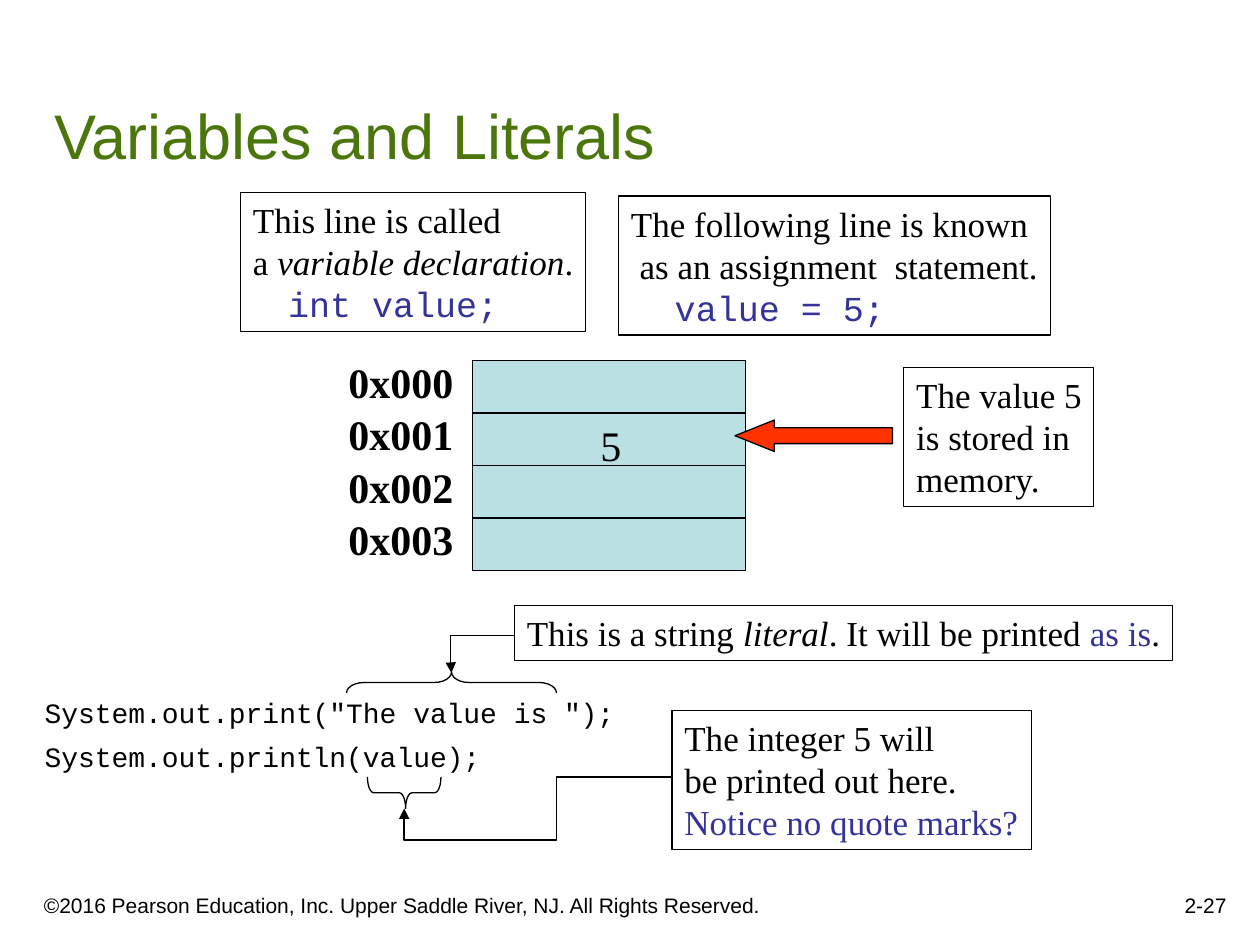
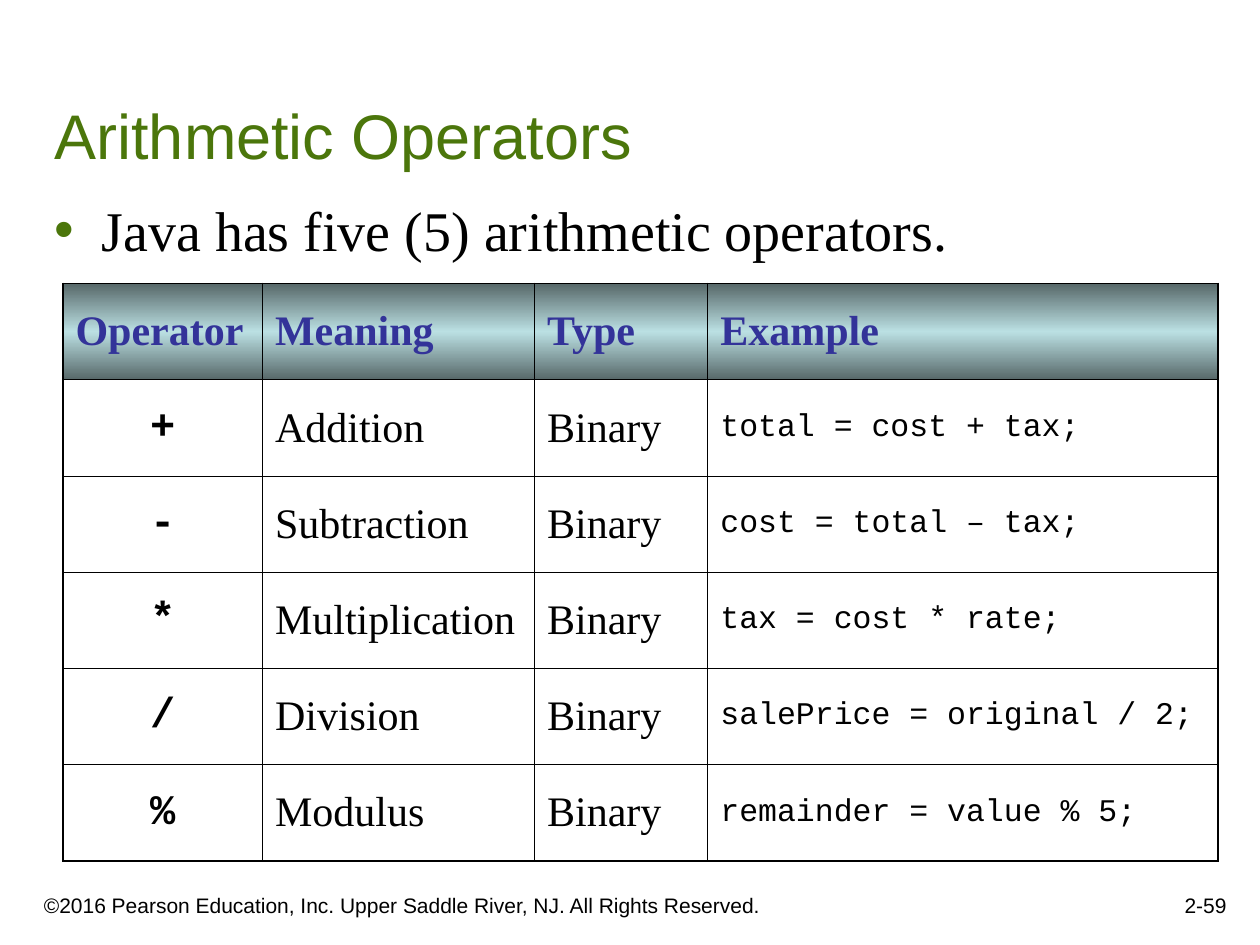
"""Builds two Java lesson slides: variables in memory and arithmetic operators."""
from lxml.etree import SubElement
from pptx import Presentation
from pptx.dml.color import RGBColor
from pptx.enum.shapes import MSO_CONNECTOR, MSO_SHAPE
from pptx.enum.text import MSO_ANCHOR, PP_ALIGN
from pptx.oxml import parse_xml
from pptx.oxml.ns import nsdecls, qn
from pptx.util import Pt

BLACK = RGBColor(0x00, 0x00, 0x00)
GREEN = RGBColor(0x4B, 0x76, 0x0B)
BLUE = RGBColor(0x33, 0x33, 0x99)
AQUA = RGBColor(0xBB, 0xE0, 0xE3)
SLATE = RGBColor(0x57, 0x68, 0x69)
RED = RGBColor(0xFF, 0x33, 0x00)

SERIF = "Times New Roman"
MONO = "Courier New"
HEAD = {"size": Pt(36), "name": "Arial", "color": GREEN}
FOOT = {"size": Pt(12), "name": "Arial", "color": BLACK}
NOTE = {"size": Pt(20), "name": SERIF, "color": BLACK}
CODE = {"size": Pt(16), "name": MONO, "color": BLACK}
BODY = {"size": Pt(32), "name": SERIF, "color": BLACK}
CELL = {"size": Pt(24), "name": SERIF, "color": BLACK}
BOLD = CELL | {"bold": True}
TINT = {"color": BLUE}
SLANT = {"italic": True}


def write(frame, lines, look, **form):
    for num, line in enumerate(lines):
        para = frame.add_paragraph() if num else frame.paragraphs[0]
        for key, val in ({"alignment": PP_ALIGN.LEFT} | form).items():
            if num or key != "space_before":
                setattr(para, key, val)
        for text, extra in [(line, {})] if isinstance(line, str) else line:
            run = para.add_run()
            run.text = text
            for key, val in (look | extra).items():
                if key == "color":
                    run.font.color.rgb = val
                else:
                    setattr(run.font, key, val)


def draw(slide, kind, area, paint=None):
    shape = slide.shapes.add_shape(kind, *[Pt(v) for v in area])
    shape.shadow.inherit = False
    if paint is None:
        shape.fill.background()
    else:
        shape.fill.solid()
        shape.fill.fore_color.rgb = paint
    shape.line.color.rgb = BLACK
    shape.line.width = Pt(0.75)
    shape.text_frame.vertical_anchor = MSO_ANCHOR.TOP
    shape.text_frame.word_wrap = False
    return shape


deck = Presentation()
deck.slide_width, deck.slide_height = Pt(720), Pt(540)

pages = []
for name, page in [("Variables and Literals", "2-27"), ("Arithmetic Operators", "2-59")]:
    slide = deck.slides.add_slide(deck.slide_layouts[5])
    pages.append(slide)
    title = slide.shapes.title
    place = {"left": 24, "top": 24, "width": 678, "height": 78}
    for key, val in place.items():
        setattr(title, key, Pt(val))
    title.text_frame.vertical_anchor = MSO_ANCHOR.BOTTOM
    write(title.text_frame, [name], HEAD)
    rights = "©2016 Pearson Education, Inc. Upper Saddle River, NJ. All Rights Reserved."
    for text, area, side in [
        (rights, (18, 498, 438, 30), PP_ALIGN.LEFT),
        (page, (558, 492, 150, 36), PP_ALIGN.RIGHT),
    ]:
        foot = slide.shapes.add_textbox(*[Pt(v) for v in area]).text_frame
        foot.word_wrap = True
        foot.vertical_anchor = MSO_ANCHOR.BOTTOM
        write(foot, [text], FOOT, alignment=side)

lesson, chart = pages

notes = [
    ((137.5, 110, 197, 79.5), [
        "This line is called",
        [("a ", {}), ("variable declaration", SLANT), (".", {})],
        [("int value;", TINT | {"name": MONO})],
    ], {2: 20}),
    ((353.5, 112, 247, 79.5), [
        "The following line is known",
        "as an assignment  statement.",
        [("value = 5;", TINT | {"name": MONO})],
    ], {1: 5, 2: 25}),
    ((516.5, 210, 108.5, 79.5), ["The value 5", "is stored in", "memory."], {}),
    ((294, 346, 376, 31.5), [[
        ("This is a string ", {}), ("literal", SLANT),
        (". It will be printed ", {}), ("as is", TINT), (".", {}),
    ]], {}),
    ((384, 406, 205.5, 79.5), [
        "The integer 5 will", "be printed out here.",
        [("Notice no quote marks?", TINT)],
    ], {}),
]
for area, lines, dents in notes:
    frame = draw(lesson, MSO_SHAPE.RECTANGLE, area).text_frame
    write(frame, lines, NOTE)
    for num, dent in dents.items():
        frame.paragraphs[num]._p.get_or_add_pPr().set("marL", str(Pt(dent)))

for row in range(4):
    top = 206 + 30 * row
    draw(lesson, MSO_SHAPE.RECTANGLE, (270, top, 156, 30), AQUA)
    label = lesson.shapes.add_textbox(Pt(192), Pt(top - 6), Pt(78), Pt(36))
    write(label.text_frame, [f"0x00{row}"], BOLD)
value = lesson.shapes.add_textbox(Pt(336), Pt(236), Pt(30), Pt(36))
write(value.text_frame, ["5"], CELL)

arrow = draw(lesson, MSO_SHAPE.LEFT_ARROW, (420, 240, 90, 18), RED)
arrow.adjustments[1] = 1.25

code = lesson.shapes.add_textbox(Pt(18.5), Pt(396), Pt(340), Pt(50))
write(code.text_frame, ['System.out.print("The value is ");', "System.out.println(value);"],
      CODE, line_spacing=0.9, space_before=Pt(4), space_after=Pt(4))

for area, turn, bends in [
    ((252, 330, 12, 120), 90, (0.83, 0.5)),
    ((222, 432, 18, 42), 270, (0.2, 0.52)),
]:
    brace = draw(lesson, MSO_SHAPE.LEFT_BRACE, area)
    brace.rotation = turn
    for num, bend in enumerate(bends):
        brace.adjustments[num] = bend

for ends, kind, bends in [
    ((294, 363, 258, 384.5), "bentConnector3", (101000,)),
    ((384, 444, 231, 462), "bentConnector4", (43100, 200000)),
]:
    link = lesson.shapes.add_connector(MSO_CONNECTOR.ELBOW, *[Pt(v) for v in ends])
    link.line.color.rgb = BLACK
    link.line.width = Pt(0.75)
    SubElement(link.line._get_or_add_ln(), qn("a:tailEnd"), type="triangle")
    props = link._element.spPr
    SubElement(props, qn("a:effectLst"))
    geom = props.find(qn("a:prstGeom"))
    geom.set("prst", kind)
    guides = geom.find(qn("a:avLst"))
    if guides is None:
        guides = SubElement(geom, qn("a:avLst"))
    for num, bend in enumerate(bends, 1):
        SubElement(guides, qn("a:gd"), name=f"adj{num}", fmla=f"val {bend}")

intro = chart.shapes.add_textbox(Pt(24), Pt(108), Pt(653), Pt(46)).text_frame
intro.word_wrap = True
props = intro.paragraphs[0]._p.get_or_add_pPr()
props.set("marL", str(Pt(27)))
props.set("indent", str(Pt(-27)))
tint = SubElement(props, qn("a:buClr"))
SubElement(tint, qn("a:srgbClr"), val=str(GREEN))
SubElement(props, qn("a:buFont"), typeface="Arial")
SubElement(props, qn("a:buChar"), char="•")
write(intro, ["Java has five (5) arithmetic operators."], BODY)

rows = [
    ("Operator", "Meaning", "Type", "Example"),
    ("+", "Addition", "Binary", "total = cost + tax;"),
    ("-", "Subtraction", "Binary", "cost = total – tax;"),
    ("*", "Multiplication", "Binary", "tax = cost * rate;"),
    ("/", "Division", "Binary", "salePrice = original / 2;"),
    ("%", "Modulus", "Binary", "remainder = value % 5;"),
]
looks = [BOLD | {"name": MONO}, CELL, CELL, CELL | {"name": MONO, "size": Pt(18)}]
wides = [114, 155.5, 99, 291.5]
grid = chart.shapes.add_table(6, 4, Pt(36), Pt(162), Pt(660), Pt(330)).table
grid.first_row = grid.horz_banding = False
for col, wide in zip(grid.columns, wides):
    col.width = Pt(wide)
for row, texts in enumerate(rows):
    grid.rows[row].height = Pt(55)
    for col, text in enumerate(texts):
        cell = grid.cell(row, col)
        cell.vertical_anchor = MSO_ANCHOR.MIDDLE
        look = looks[col] if row else BOLD | TINT
        side = PP_ALIGN.CENTER if row and col == 0 else PP_ALIGN.LEFT
        write(cell.text_frame, [text], look, alignment=side)
        props = cell._tc.get_or_add_tcPr()
        edges = {"L": col == 0, "R": col == 3, "T": row == 0, "B": row == 5}
        for edge, outer in edges.items():
            props.append(parse_xml(
                f'<a:ln{edge} {nsdecls("a")} w="{Pt(1.08 if outer else 0.45)}"><a:solidFill>'
                f'<a:srgbClr val="{BLACK}"/></a:solidFill></a:ln{edge}>'))
        if row:
            cell.fill.background()
        else:
            stops = "".join(
                f'<a:gs pos="{pos}"><a:srgbClr val="{paint}"/></a:gs>'
                for pos, paint in [(0, SLATE), (50000, AQUA), (100000, SLATE)])
            props.append(parse_xml(
                f'<a:gradFill {nsdecls("a")}><a:gsLst>{stops}</a:gsLst>'
                '<a:lin ang="5400000" scaled="1"/></a:gradFill>'))

deck.save("out.pptx")
